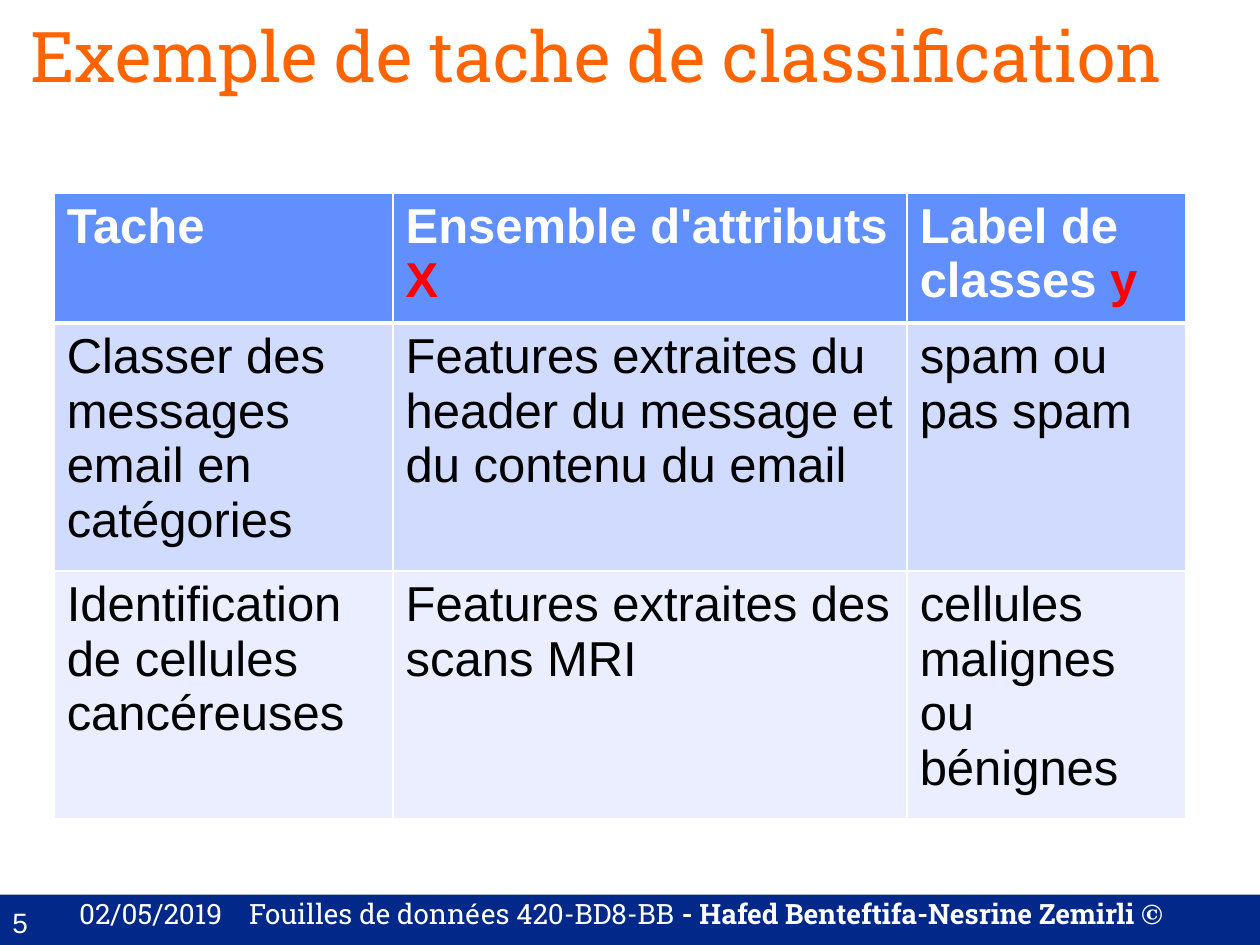
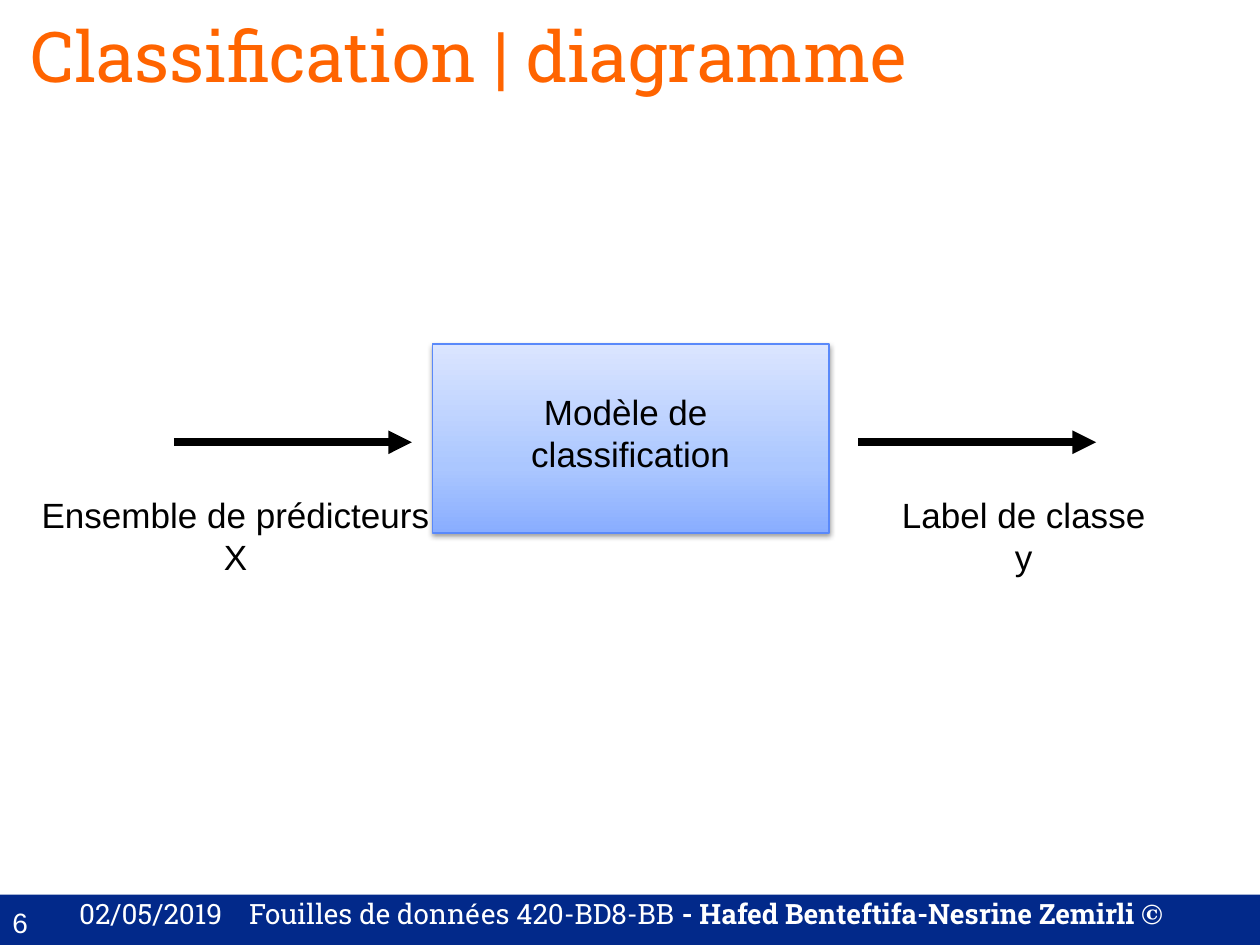
from dataclasses import dataclass

from lxml.etree import SubElement
from pptx import Presentation
from pptx.dml.color import RGBColor
from pptx.enum.shapes import MSO_CONNECTOR as Connector, MSO_SHAPE as Shape
from pptx.enum.text import MSO_ANCHOR as Anchor, PP_ALIGN as Align
from pptx.oxml import parse_xml
from pptx.oxml.ns import nsdecls, qn
from pptx.util import Inches, Pt


@dataclass(frozen=True)
class Theme:
    # Colours
    title: str = "FF6400"
    band: str = "02298A"
    white: str = "FFFFFF"
    black: str = "000000"
    accent: str = "FF0000"
    header: str = "618FFD"
    rows: tuple = ("D1DBFE", "EAEEFF")
    model_line: str = "5A89FA"
    model_stops: tuple = ((0, "89ADFF"), (35, "ABC7FF"), (100, "DBE5FF"))
    # Fonts
    slab: str = "Roboto Slab"
    body: str = "Arial"
    symbol: str = "TeX Gyre Schola"
    # Type sizes
    title_size: int = 40
    table_size: int = 28
    label_size: int = 20
    footer_size: int = 16


THEME = Theme()
DATE = "02/05/2019"
COURSE = "Fouilles de données 420-BD8-BB"
AUTHORS = " - Hafed Benteftifa-Nesrine Zemirli "


# Text
def add_span(para, text, size, color, font=THEME.body, bold=False):
    span = para.add_run()
    span.text = text
    span.font.size = Pt(size)
    span.font.name = font
    span.font.bold = bold
    span.font.color.rgb = RGBColor.from_string(color)


def add_box(page, left, top, width, height, wrap=True):
    box = page.shapes.add_textbox(Inches(left), Inches(top), Inches(width), Inches(height))
    box.text_frame.word_wrap = wrap
    return box.text_frame


def add_centred_lines(frame, lines):
    for index, line in enumerate(lines):
        para = frame.add_paragraph() if index else frame.paragraphs[0]
        para.alignment = Align.CENTER
        add_span(para, line, THEME.label_size, THEME.black)


# Shared slide parts
def add_footer(page, number):
    band = page.shapes.add_shape(Shape.RECTANGLE, 0, Inches(7.1), Inches(10), Inches(0.4))
    band.shadow.inherit = False
    band.fill.solid()
    band.fill.fore_color.rgb = RGBColor.from_string(THEME.band)
    band.line.fill.background()

    para = add_box(page, 0, 7.14, 0.58, 0.36).paragraphs[0]
    add_span(para, str(number), THEME.footer_size, THEME.white)

    # A tab stop separates the date from the course
    para = add_box(page, 0.53, 7.07, 9.47, 0.43).paragraphs[0]
    stops = SubElement(para._p.get_or_add_pPr(), qn("a:tabLst"))
    SubElement(stops, qn("a:tab"), pos=str(Inches(1.35)), algn="l")
    for text, font, bold in (
        (f"{DATE}\t{COURSE}", THEME.slab, False),
        (AUTHORS, THEME.slab, True),
        ("©", THEME.symbol, True),
    ):
        add_span(para, text, THEME.footer_size, THEME.white, font, bold)


def add_page(deck, number, title):
    page = deck.slides.add_slide(deck.slide_layouts[6])
    add_footer(page, number)
    para = add_box(page, 0.14, 0.05, 9.68, 0.93).paragraphs[0]
    add_span(para, title, THEME.title_size, THEME.title, THEME.slab)
    return page


# Table
def set_borders(cell, top, bottom):
    properties = cell._tc.get_or_add_tcPr()
    for side, width in (("L", 1), ("R", 1), ("T", top), ("B", bottom)):
        line = SubElement(properties, qn(f"a:ln{side}"), w=str(Pt(width)))
        fill = SubElement(line, qn("a:solidFill"))
        SubElement(fill, qn("a:srgbClr"), val=THEME.white)


def fill_cell(cell, spans, row):
    is_header = row == 0
    set_borders(cell, top=3 if row == 1 else 1, bottom=3 if is_header else 1)
    cell.fill.solid()
    color = THEME.header if is_header else THEME.rows[(row - 1) % 2]
    cell.fill.fore_color.rgb = RGBColor.from_string(color)
    for text, color in spans:
        add_span(cell.text_frame.paragraphs[0], text, THEME.table_size, color, bold=is_header)


def add_task_table(page, header, body, widths, heights):
    rows = [header] + [[[(text, THEME.black)] for text in line] for line in body]
    table = page.shapes.add_table(
        len(rows), len(widths), Inches(0.43), Inches(1.53),
        Inches(sum(widths)), Inches(sum(heights)),
    ).table
    for column, width in zip(table.columns, widths):
        column.width = Inches(width)
    for index, (cells, height) in enumerate(zip(rows, heights)):
        table.rows[index].height = Inches(height)
        for column, spans in enumerate(cells):
            fill_cell(table.cell(index, column), spans, index)


# Diagram
def add_model_box(page, lines):
    box = page.shapes.add_shape(
        Shape.RECTANGLE, Inches(3.43), Inches(2.73), Inches(3.15), Inches(1.5))
    box.line.color.rgb = RGBColor.from_string(THEME.model_line)
    box.line.width = Pt(0.75)
    stops = "".join(
        f'<a:gs pos="{position * 1000}"><a:srgbClr val="{color}"/></a:gs>'
        for position, color in THEME.model_stops)
    outline = box.line._get_or_add_ln()
    outline.addprevious(parse_xml(
        f'<a:gradFill {nsdecls("a")} rotWithShape="1"><a:gsLst>{stops}</a:gsLst>'
        '<a:lin ang="16200000" scaled="0"/></a:gradFill>'))
    outline.addnext(parse_xml(
        f'<a:effectLst {nsdecls("a")}>'
        f'<a:outerShdw blurRad="{Pt(3.1)}" dist="{Pt(1.6)}" dir="5400000" rotWithShape="0">'
        f'<a:srgbClr val="{THEME.black}"><a:alpha val="38000"/></a:srgbClr>'
        '</a:outerShdw></a:effectLst>'))
    frame = box.text_frame
    frame.word_wrap = True
    frame.vertical_anchor = Anchor.TOP
    frame.margin_top = Inches(0.37)
    add_centred_lines(frame, lines)


def add_arrow(page, left, y=3.51, length=1.89):
    arrow = page.shapes.add_connector(
        Connector.STRAIGHT, Inches(left), Inches(y), Inches(left + length), Inches(y))
    arrow.line.color.rgb = RGBColor.from_string(THEME.black)
    arrow.line.width = Pt(4.5)
    SubElement(arrow.line._get_or_add_ln(), qn("a:tailEnd"), type="triangle")
    SubElement(arrow._element.spPr, qn("a:effectLst"))


def add_label(page, left, width, lines):
    add_centred_lines(add_box(page, left, 3.87, width, 0.77, wrap=False), lines)


# Slides
def build_task_page(deck):
    page = add_page(deck, 5, "Exemple de tache de classification")
    header = [
        [("Tache", THEME.white)],
        [("Ensemble d'attributs ", THEME.white), ("X", THEME.accent)],
        [("Label de classes ", THEME.white), ("y", THEME.accent)],
    ]
    body = [
        ("Classer des messages email en catégories",
         "Features extraites du header du message et du contenu du email",
         "spam ou pas spam"),
        ("Identification de cellules cancéreuses",
         "Features extraites des scans MRI",
         "cellules malignes ou bénignes"),
    ]
    add_task_table(page, header, body, (2.69, 4.08, 2.21), (0.96, 1.83, 1.83))


def build_diagram_page(deck):
    page = add_page(deck, 6, "Classification | diagramme")
    add_model_box(page, ("Modèle de ", "classification"))
    for left in (1.38, 6.81):
        add_arrow(page, left)
    add_label(page, 0.22, 3.3, ("Ensemble de prédicteurs", "X"))
    add_label(page, 7.05, 2.15, ("Label de classe", "y"))


def main():
    deck = Presentation()
    deck.slide_width, deck.slide_height = Inches(10), Inches(7.5)
    build_task_page(deck)
    build_diagram_page(deck)
    deck.save("out.pptx")


if __name__ == "__main__":
    main()
